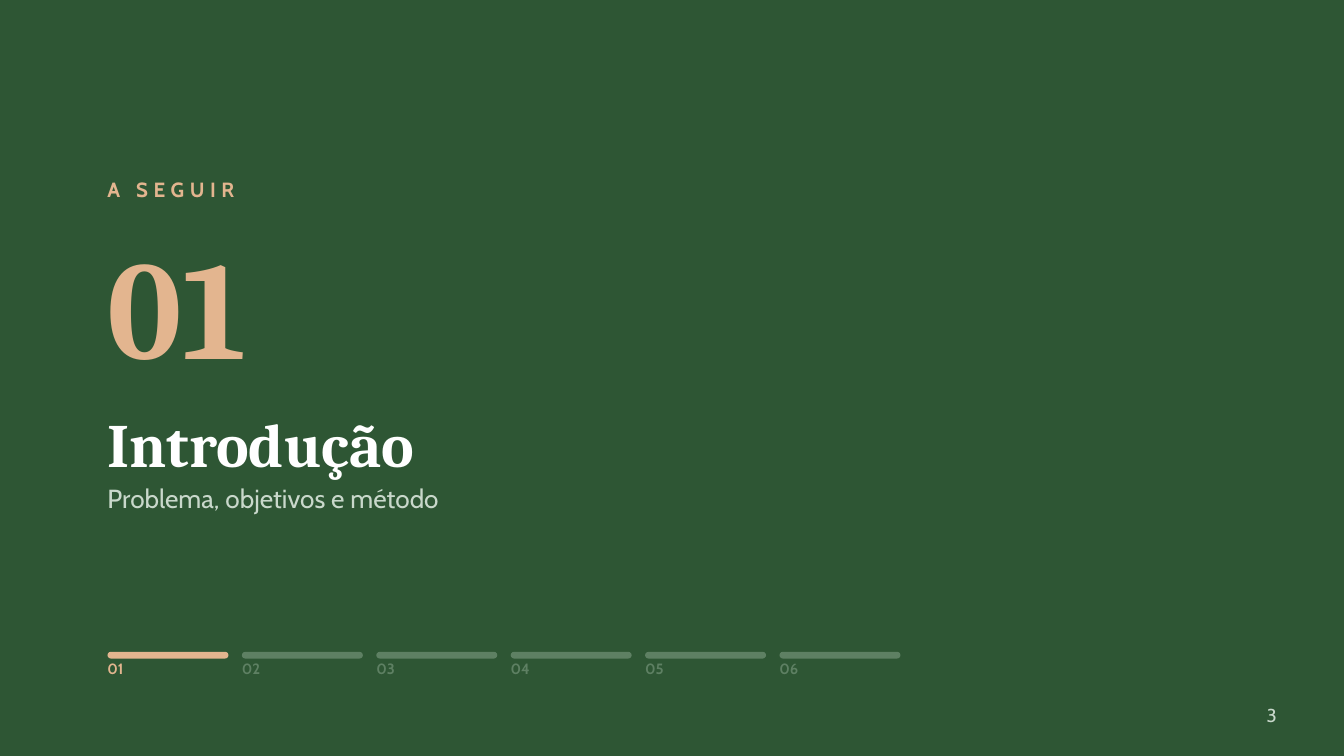
from dataclasses import dataclass

from pptx import Presentation
from pptx.dml.color import RGBColor
from pptx.enum.shapes import MSO_SHAPE as Shape
from pptx.enum.text import MSO_ANCHOR as Anchor, MSO_AUTO_SIZE as AutoSize, PP_ALIGN as Align
from pptx.util import Inches, Pt

COLORS = {
    "green": "2E5634",
    "peach": "E3B58F",
    "white": "FFFFFF",
    "mist": "C9D8CB",
    "muted": "5E8063",
}
HEADING, BODY = "Cambria", "Cabin"
LEFT = 1.6
SECTIONS, CURRENT = 6, 1
STEP_W, STEP_GAP = 1.8, 0.2
BAR_TOP, BAR_H = 9.7, 0.1


@dataclass(frozen=True)
class Box:
    left: float
    top: float
    width: float
    height: float

    def lengths(self) -> list:
        return [Inches(v) for v in (self.left, self.top, self.width, self.height)]


@dataclass(frozen=True)
class Step:
    number: int

    @property
    def left(self) -> float:
        return LEFT + (self.number - 1) * (STEP_W + STEP_GAP)

    @property
    def color(self) -> str:
        return "peach" if self.number == CURRENT else "muted"


def rgb(name: str) -> RGBColor:
    return RGBColor.from_string(COLORS[name])


def add_text(s, text: str, box: Box, *, size: float, color: str, font: str = BODY,
             bold: bool = False, line: float = 0, spacing: float = 0,
             align=Align.LEFT, sp=None) -> None:
    if sp is None:
        sp = s.shapes.add_textbox(*box.lengths())
    else:
        sp.left, sp.top, sp.width, sp.height = box.lengths()
    tf = sp.text_frame
    tf.margin_left = tf.margin_top = tf.margin_right = tf.margin_bottom = 0
    tf.word_wrap = True
    tf.auto_size = AutoSize.SHAPE_TO_FIT_TEXT
    tf.vertical_anchor = Anchor.TOP
    p = tf.paragraphs[0]
    p.alignment = align
    p.line_spacing = Pt(line or size * 1.2)
    r = p.add_run()
    r.text = text
    r.font.name, r.font.size, r.font.bold = font, Pt(size), bold
    r.font.color.rgb = rgb(color)
    if spacing:
        r.font._element.set("spc", str(round(spacing * 100)))


def add_step(s, step: Step) -> None:
    bar = Box(step.left, BAR_TOP, STEP_W, BAR_H)
    sp = s.shapes.add_shape(Shape.ROUNDED_RECTANGLE, *bar.lengths())
    sp.adjustments[0] = 0.5
    sp.shadow.inherit = False
    sp.fill.solid()
    sp.fill.fore_color.rgb = rgb(step.color)
    sp.line.fill.background()
    add_text(s, f"{step.number:02d}", Box(step.left, 9.81, STEP_W, 0.53),
             size=16, color=step.color, bold=True)


def main() -> None:
    prs = Presentation()
    prs.slide_width, prs.slide_height = Inches(20), Inches(11.25)
    s = prs.slides.add_slide(prs.slide_layouts[5])
    s.background.fill.solid()
    s.background.fill.fore_color.rgb = rgb("green")

    add_text(s, "A SEGUIR", Box(LEFT, 2.64, 10, 0.7),
             size=22, color="peach", bold=True, spacing=6)
    add_text(s, f"{CURRENT:02d}", Box(LEFT, 3.27, 7, 2.66),
             size=150, color="peach", font=HEADING, bold=True)
    add_text(s, "Introdução", Box(LEFT, 6.04, 17, 1.27),
             size=66, color="white", font=HEADING, bold=True, sp=s.shapes.title)
    add_text(s, "Problema, objetivos e método", Box(LEFT, 7.18, 17, 0.87),
             size=28, color="mist")
    for number in range(1, SECTIONS + 1):
        add_step(s, Step(number))
    add_text(s, "3", Box(18, 10.48, 1, 0.42), size=20, color="mist", align=Align.RIGHT)

    prs.save("out.pptx")


if __name__ == "__main__":
    main()
